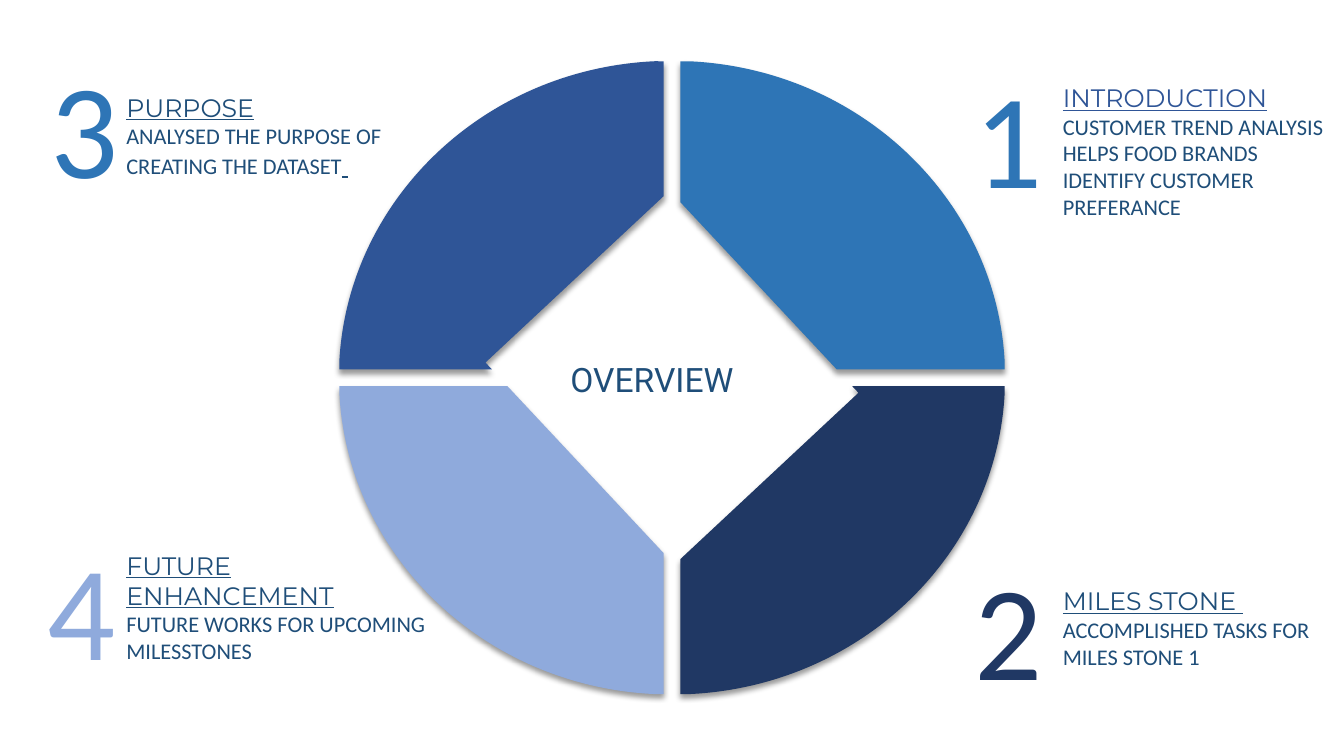
import math

from lxml import etree
from pptx import Presentation
from pptx import util as u
from pptx.dml.color import RGBColor
from pptx.enum import text
from pptx.oxml import ns

COLORS = {
    "blue": "2E75B6",
    "royal": "2F5597",
    "light": "8FAADC",
    "navy": "203864",
    "ink": "1F4E79",
    "shadow": "000000",
}
TILT = 46.8
GAP = 6
RIM = [(GAP, 226), (12.4, 226), (134.2, 220.3), (231.4, 127.4), (237.6, 11.5), (237.6, GAP)]
PLAIN_EDGE = [(117.6, GAP), (GAP, 125.3)]
NOTCHED_EDGE = [(128.7, GAP), (133.2, 10.8), (GAP, 129.6)]


def rotate(point, degrees):
    x, y = point
    a = math.radians(degrees)
    return x * math.cos(a) - y * math.sin(a), x * math.sin(a) + y * math.cos(a)


def add_shadow(sp):
    effects = etree.SubElement(sp._element.spPr, ns.qn("a:effectLst"))
    shadow = etree.SubElement(
        effects, ns.qn("a:outerShdw"), blurRad=str(u.Pt(4)), dist=str(u.Pt(3)),
        dir="5400000", algn="t", rotWithShape="0")
    color = etree.SubElement(shadow, ns.qn("a:srgbClr"), val=COLORS["shadow"])
    etree.SubElement(color, ns.qn("a:alpha"), val="40000")


def bend_rim(sp, controls, corner):
    lines = list(sp._element.spPr.iter(ns.qn("a:lnTo")))
    apex, rim_end = lines[1:3]
    curve = etree.Element(ns.qn("a:cubicBezTo"))
    for x, y in controls:
        etree.SubElement(curve, ns.qn("a:pt"), x=str(u.Pt(x - corner[0])),
                         y=str(u.Pt(y - corner[1])))
    curve.append(rim_end[0])
    parent = apex.getparent()
    parent.replace(apex, curve)
    parent.remove(rim_end)


def add_segment(s, box, side_x, side_y, edge, color):
    left, top, width, height = box
    rim, inner = ([rotate((side_x * x, side_y * y), -TILT) for x, y in part]
                  for part in (RIM, edge))
    start, bend_start, c1, c2, bend_end, end = rim
    apex = tuple((a + 3 * b + 3 * c + d) / 8
                 for a, b, c, d in zip(bend_start, c1, c2, bend_end))
    outline = [start, bend_start, apex, bend_end, end] + inner
    xs, ys = zip(*outline)
    corner = min(xs), min(ys)
    middle = (min(xs) + max(xs)) / 2, (min(ys) + max(ys)) / 2
    turned = rotate(middle, TILT)
    points = [(u.Pt(x), u.Pt(y)) for x, y in outline]
    builder = s.shapes.build_freeform(*points[0], scale=1.0)
    builder.add_line_segments(points[1:], close=True)
    sp = builder.convert_to_shape()
    bend_rim(sp, (c1, c2), corner)
    sp.left = u.Pt(left + width / 2 + corner[0] + turned[0] - middle[0])
    sp.top = u.Pt(top + height / 2 + corner[1] + turned[1] - middle[1])
    sp.rotation = TILT
    sp.fill.solid()
    sp.fill.fore_color.rgb = RGBColor.from_string(COLORS[color])
    sp.line.fill.background()
    add_shadow(sp)


def add_text(s, box, paragraphs):
    sp = s.shapes.add_textbox(*map(u.Pt, box))
    tf = sp.text_frame
    tf.word_wrap = True
    tf.auto_size = text.MSO_AUTO_SIZE.SHAPE_TO_FIT_TEXT
    for i, runs in enumerate(paragraphs):
        p = tf.add_paragraph() if i else tf.paragraphs[0]
        for words, size, font, color, underline in runs:
            r = p.add_run()
            r.text = words
            r.font.size = u.Pt(size)
            r.font.name = font
            r.font.underline = underline
            r.font.color.rgb = RGBColor.from_string(COLORS[color])


def heading(words, color="ink"):
    return words, 18, "Montserrat", color, True


def body(words):
    return words, 16, "Calibri", "ink", False


def add_wheel(s, box):
    add_segment(s, box, 1, -1, PLAIN_EDGE, "blue")
    add_segment(s, box, -1, -1, NOTCHED_EDGE, "royal")
    add_segment(s, box, -1, 1, PLAIN_EDGE, "light")
    add_segment(s, box, 1, 1, NOTCHED_EDGE, "navy")
    left, top, width, height = box
    add_text(s, (left + 158, top + 208.8, 167.8, 36),
             [[("OVERVIEW", 24, "Roboto", "ink", False)]])


def add_topic(s, box, number, color, number_box, paragraphs):
    left, top, width, height = box
    dx, dy, number_width = number_box
    add_text(s, box, paragraphs)
    add_text(s, (left + dx, top + dy, number_width, 123.8),
             [[(number, 96, "Calibri", color, False)]])


def main():
    prs = Presentation()
    prs.slide_width, prs.slide_height = u.Pt(960), u.Pt(540)
    s = prs.slides.add_slide(prs.slide_layouts[6])
    add_wheel(s, (242.4, 43.8, 475.2, 452))
    add_topic(s, (752.1, 55.4, 206, 106.6), "1", "blue", (-63.1, -20.2, 63.4), [
        [heading("INTRODUCTION", "royal")],
        [body("CUSTOMER TREND ANALYSIS HELPS FOOD BRANDS IDENTIFY CUSTOMER PREFERANCE")],
    ])
    add_topic(s, (752.1, 414.7, 233.3, 67.7), "2", "navy", (-63.1, -28, 50.4), [
        [heading("MILES STONE ")],
        [body("ACCOMPLISHED TASKS FOR MILES STONE 1")],
    ])
    add_topic(s, (83.2, 62.2, 233.3, 90), "3", "blue", (-54, -34.1, 44.6), [
        [heading("PURPOSE")],
        [body("ANALYSED THE PURPOSE OF CREATING THE DATASET"), heading(" ")],
    ])
    add_topic(s, (83.2, 389.2, 280, 90), "4", "light", (-56.6, -17, 61.9), [
        [heading("FUTURE")],
        [heading("ENHANCEMENT")],
        [body("FUTURE WORKS FOR UPCOMING MILESSTONES")],
    ])
    prs.save("out.pptx")


if __name__ == "__main__":
    main()
